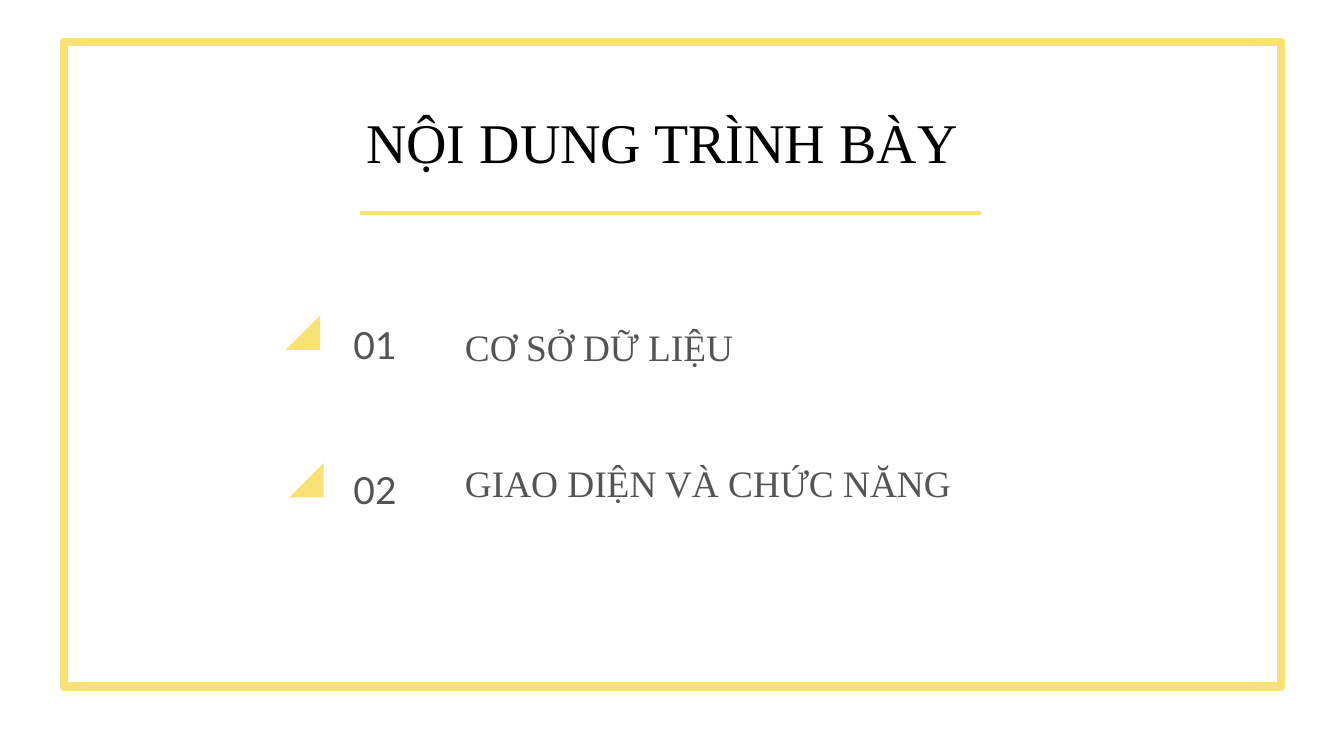
"""Builds the contents slide with a framed title and two numbered topics."""
import pptx
import pptx.dml.color
import pptx.enum.shapes
import pptx.enum.text
import pptx.oxml
import pptx.util

Pt = pptx.util.Pt
ALIGN = pptx.enum.text.PP_ALIGN
HUES = {"gold": "F8E175", "white": "FFFFFF", "black": "000000", "grey": "545454"}
SERIF, SANS = "Times New Roman", "Lato"
NS = 'xmlns:a="http://schemas.openxmlformats.org/drawingml/2006/main"'


def hue(name):
    return pptx.dml.color.RGBColor.from_string(HUES[name])


class Page:
    """Holds the style and the current slide."""

    def __init__(self, deck):
        self.slide = deck.slides.add_slide(deck.slide_layouts[5])
        self.shapes = self.slide.shapes

    def style(self, box, words, font, size, color, space, align):
        frame = box.text_frame
        frame.text = words
        frame.word_wrap = True
        frame.auto_size = pptx.enum.text.MSO_AUTO_SIZE.NONE
        frame.vertical_anchor = pptx.enum.text.MSO_ANCHOR.TOP
        frame.margin_left = frame.margin_right = 0
        frame.margin_top = frame.margin_bottom = 0
        para = frame.paragraphs[0]
        para.alignment = align
        para.line_spacing = space
        para.space_before = Pt(0)
        run = para.runs[0].font
        run.name, run.size = font, Pt(size)
        run.color.rgb = hue(color)

    def title(self, words, left, top, width, height):
        box = self.shapes.title
        box.left, box.top = Pt(left), Pt(top)
        box.width, box.height = Pt(width), Pt(height)
        self.style(box, words, SERIF, 60, "black", 1.2, ALIGN.CENTER)

    def text(self, words, left, top, width, font):
        box = self.shapes.add_textbox(Pt(left), Pt(top), Pt(width), Pt(63))
        self.style(box, words, font, 40, "grey", 1.3, ALIGN.LEFT)

    def frame(self, left, top, width, height):
        kind = pptx.enum.shapes.MSO_SHAPE.RECTANGLE
        box = self.shapes.add_shape(kind, Pt(left), Pt(top), Pt(width), Pt(height))
        box.shadow.inherit = False
        box.fill.solid()
        box.fill.fore_color.rgb = hue("white")
        box.line.color.rgb = hue("gold")
        box.line.width = Pt(9)
        box.line.fill._xPr.append(pptx.oxml.parse_xml(f"<a:round {NS}/>"))
        self.shapes.title.element.addprevious(box.element)

    def rule(self, left, right, top):
        kind = pptx.enum.shapes.MSO_CONNECTOR.STRAIGHT
        line = self.shapes.add_connector(kind, Pt(left), Pt(top), Pt(right), Pt(top))
        line.line.color.rgb = hue("gold")
        line.line.width = Pt(4.5)
        line.element.spPr.append(pptx.oxml.parse_xml(f"<a:effectLst {NS}/>"))

    def corner(self, left, top, side):
        right, base = left + side, top + side
        path = self.shapes.build_freeform(Pt(right), Pt(top))
        path.add_line_segments([(Pt(left), Pt(base)), (Pt(right), Pt(base))])
        mark = path.convert_to_shape()
        mark.shadow.inherit = False
        mark.fill.solid()
        mark.fill.fore_color.rgb = hue("gold")
        mark.line.fill.background()


def main():
    deck = pptx.Presentation()
    deck.slide_width, deck.slide_height = Pt(1440), Pt(810)
    page = Page(deck)
    page.frame(68.6, 45.2, 1304.2, 690.5)
    page.title("NỘI DUNG TRÌNH BÀY", 306, 100.8, 806.4, 87)
    page.rule(386, 1051.2, 227.8)
    topics = [
        ("01", "CƠ SỞ DỮ LIỆU", (306, 338), 331.2, 333.4),
        ("02", "GIAO DIỆN VÀ CHỨC NĂNG", (309.8, 496), 486, 478.8),
    ]
    for mark, words, spot, high, low in topics:
        page.corner(*spot, 37)
        page.text(words, 498.2, low, 535, SERIF)
        page.text(mark, 378.7, high, 64.8, SANS)
    deck.save("out.pptx")


if __name__ == "__main__":
    main()
